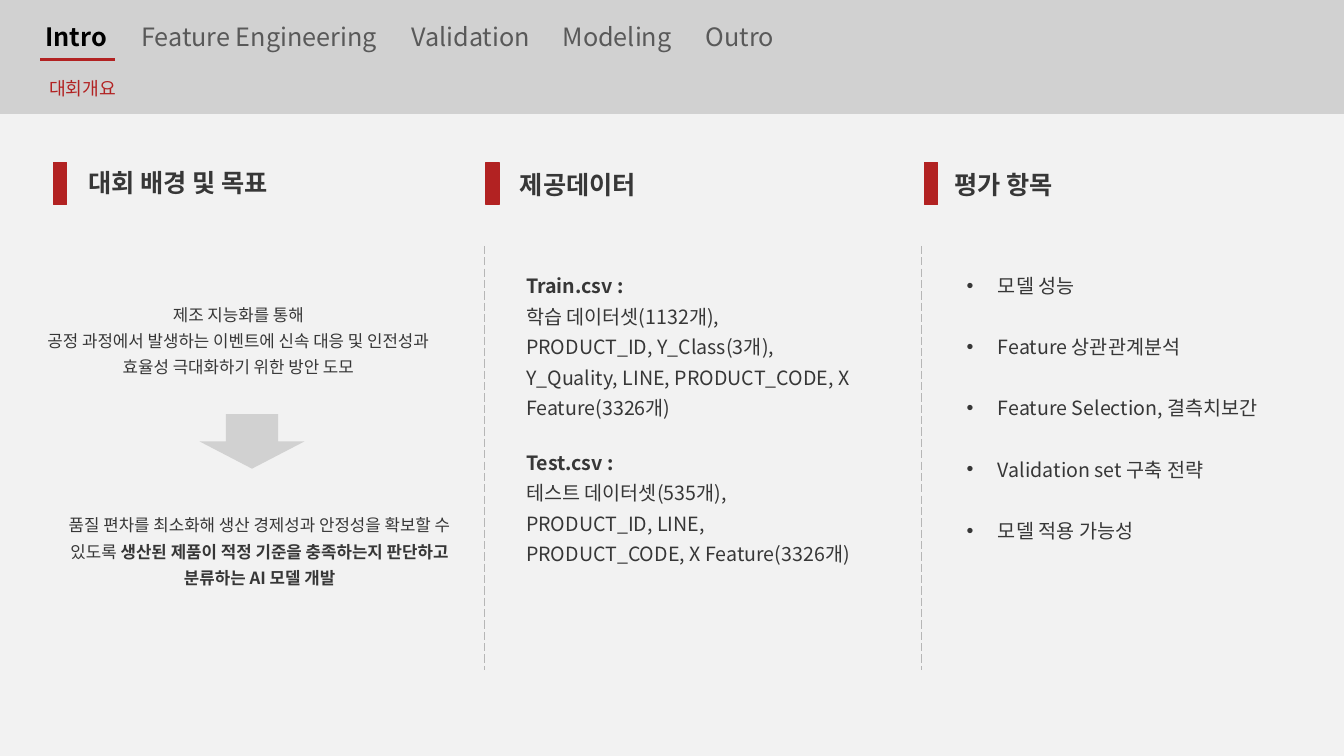
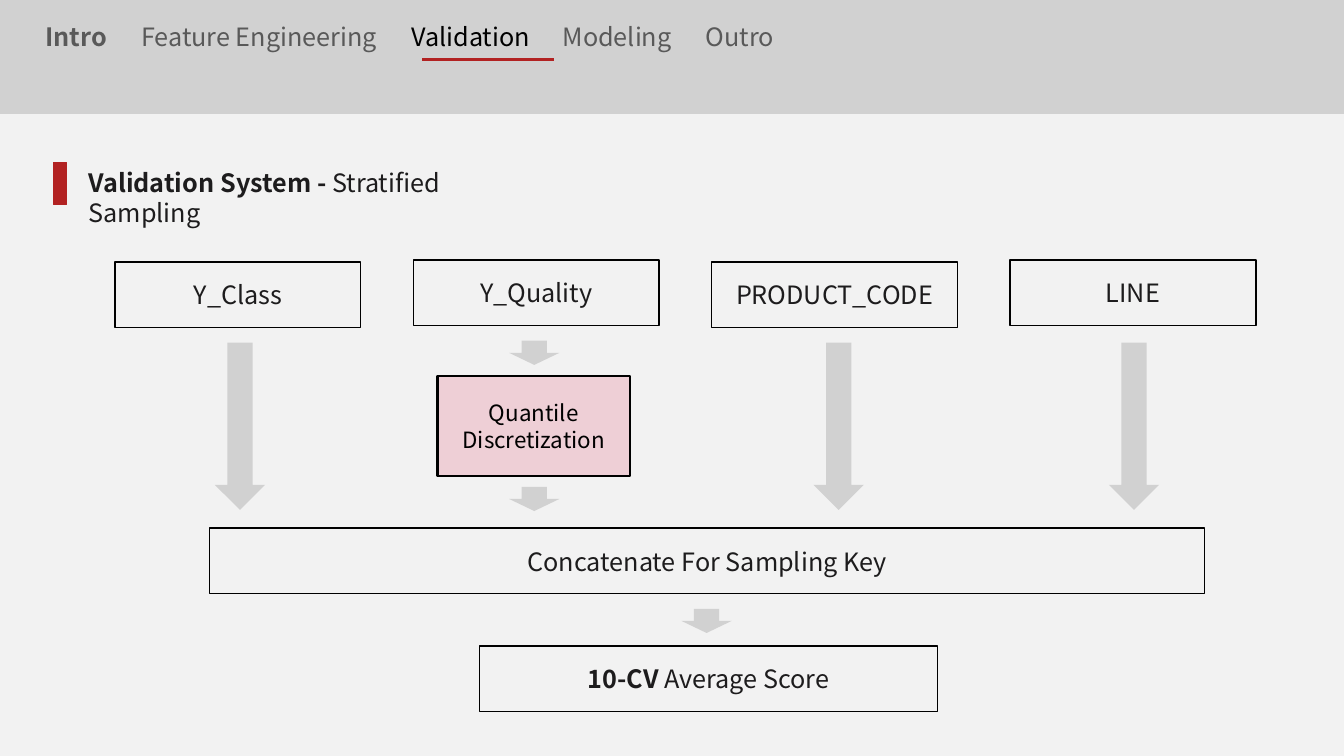
import pptx
import pptx.util
import pptx.dml.color
import pptx.enum.dml
import pptx.enum.shapes
import pptx.enum.text
import lxml.etree
from pptx.oxml.ns import qn

Pt = pptx.util.Pt
Inches = pptx.util.Inches
rgb = pptx.dml.color.RGBColor.from_string
RECT = pptx.enum.shapes.MSO_SHAPE.RECTANGLE
ARROW = pptx.enum.shapes.MSO_SHAPE.DOWN_ARROW
LEFT = pptx.enum.text.PP_ALIGN.LEFT
CENTER = pptx.enum.text.PP_ALIGN.CENTER

FONT = "Noto Sans CJK KR"
PAPER, BAND, RED = "F2F2F2", "D1D1D1", "B22222"
BLACK, MUTED, BODY, INK, PINK = "000000", "595959", "373737", "1D1C1D", "EECFD6"

prs = pptx.Presentation()
prs.slide_width, prs.slide_height = Inches(13.33), Inches(7.5)
COL, ROW = prs.slide_width / 100, prs.slide_height / 100


def put(s, kind, x, y, w, h, fill=None, line=None, weight=1):
    """Place a placeholder (by index), a text box (None) or a preset shape on the 100 x 100 grid."""
    box = [round(v) for v in (x * COL, y * ROW, w * COL, h * ROW)]
    if kind in (RECT, ARROW):
        sp = s.shapes.add_shape(kind, *box)
        sp.shadow.inherit = False
        if fill:
            sp.fill.solid()
            sp.fill.fore_color.rgb = rgb(fill)
        else:
            sp.fill.background()
        if line:
            sp.line.color.rgb = rgb(line)
            sp.line.width = Pt(weight)
        else:
            sp.line.fill.background()
    elif kind is None:
        sp = s.shapes.add_textbox(*box)
    else:
        sp = s.placeholders[kind - 1]
        sp.left, sp.top, sp.width, sp.height = box
    return sp


def write(sp, lines, size, color, align=LEFT, spacing=1.0, gap=0):
    """Fill a shape with paragraphs; ** switches bold on and off."""
    tf = sp.text_frame
    tf.word_wrap = True
    tf.auto_size = pptx.enum.text.MSO_AUTO_SIZE.NONE
    for n, text in enumerate(lines):
        p = tf.add_paragraph() if n else tf.paragraphs[0]
        p.alignment, p.line_spacing = align, spacing
        p.space_before = Pt(gap if n else 0)
        for i, part in enumerate(text.split("**")):
            if part:
                r = p.add_run()
                r.text = part
                r.font.name, r.font.size, r.font.bold = FONT, Pt(size), i % 2 == 1
                r.font.color.rgb = rgb(color)
                lxml.etree.SubElement(r.font._element, qn("a:ea"), typeface=FONT)
    return tf


TITLE, LIST = 1, 2
intro = prs.slides.add_slide(prs.slide_layouts[1])
valid = prs.slides.add_slide(prs.slide_layouts[5])

# Shared background and header band on the master
master = prs.slide_master
master.background.fill.solid()
master.background.fill.fore_color.rgb = rgb(PAPER)
band = put(intro, RECT, 0, 0, 100, 15.07, BAND)
master.shapes._spTree.insert(2, band._element)

# Navigation title, with the current section in black
sections = ["Feature Engineering", "Validation", "Modeling", "Outro"]
nav = "**Intro**" + "****".join("\t" + name for name in sections)
for s, active in ((intro, 0), (valid, 2)):
    tf = write(put(s, TITLE, 3.38, 1.6, 76.35, 6.93), [nav], 18, MUTED, spacing=0.9)
    tf.margin_left = 0
    tf.vertical_anchor = pptx.enum.text.MSO_ANCHOR.MIDDLE
    p = tf.paragraphs[0]
    p.runs[active].font.color.rgb = rgb(BLACK)
    tabs = lxml.etree.SubElement(p._p.get_or_add_pPr(), qn("a:tabLst"))
    for stop in (0.95, 3.63, 5.13, 6.55):
        lxml.etree.SubElement(tabs, qn("a:tab"), pos=str(Inches(stop)), algn="l")

# Nav underlines and column dividers
for s, x1, y1, x2, y2, color, weight in (
    (intro, 3, 7.87, 8.55, 7.87, RED, 2),
    (valid, 31.43, 7.87, 41.25, 7.87, RED, 2),
    (intro, 36.08, 32.53, 36.08, 88.67, "B6B6B6", 0.75),
    (intro, 68.55, 32.53, 68.55, 88.67, "B6B6B6", 0.75),
):
    ends = [round(v) for v in (x1 * COL, y1 * ROW, x2 * COL, y2 * ROW)]
    c = s.shapes.add_connector(pptx.enum.shapes.MSO_CONNECTOR.STRAIGHT, *ends)
    c.line.color.rgb = rgb(color)
    c.line.width = Pt(weight)
    if x1 == x2:
        c.line.dash_style = pptx.enum.dml.MSO_LINE.LONG_DASH
    lxml.etree.SubElement(c._element.spPr, qn("a:effectLst"))

# Section headings with red markers
for s, marker, x, y, w, text, color in (
    (intro, 3.98, 5.85, 21.47, 20, "**대회 배경 및 목표**", BODY),
    (intro, 36.15, 37.95, 21.73, 20, "**제공데이터**", BODY),
    (intro, 68.78, 70.28, 21.73, 20, "**평가 항목**", BODY),
    (valid, 3.98, 5.85, 21.47, 35.85, "**Validation System - **Stratified Sampling", INK),
):
    put(s, RECT, marker, 21.47, 0.98, 5.6, RED, RED)
    write(put(s, None, x, y, w, 5.33), [text], 18, color)

# Intro: subtitle, background and goal
write(put(intro, None, 2.93, 9.6, 20.55, 4.27), ["대회개요"], 13, RED)
write(put(intro, None, 2.1, 38.8, 31.28, 11.47),
      ["제조 지능화를 통해",
       "공정 과정에서 발생하는 이벤트에 신속 대응 및 인전성과 효율성 극대화하기 위한 방안 도모"],
      12, BODY, CENTER, 1.3)
put(intro, ARROW, 14.85, 54.8, 7.8, 7.2, BAND)
write(put(intro, None, 3.68, 66.67, 31.28, 11.47),
      ["품질 편차를 최소화해 생산 경제성과 안정성을 확보할 수 있도록 "
       "**생산된 제품이 적정 기준을 충족하는지 판단하고 분류하는 AI 모델 개발**"],
      12, BODY, CENTER, 1.3)

# Intro: data sets
tf = write(put(intro, None, 38.4, 34.67, 26.1, 52.27),
           ["**Train.csv :**", "학습 데이터셋(1132개),", "PRODUCT_ID, Y_Class(3개),",
            "Y_Quality, LINE, PRODUCT_CODE, X Feature(3326개)",
            "**Test.csv :**", "테스트 데이터셋(535개),",
            "PRODUCT_ID, LINE, PRODUCT_CODE, X Feature(3326개)"],
           14, BODY, spacing=1.3)
tf.paragraphs[4].space_before = Pt(17)

# Intro: evaluation list
tf = write(put(intro, LIST, 71.18, 34.67, 25.73, 37.6),
           ["모델 성능", "Feature 상관관계분석", "Feature Selection, 결측치보간",
            "Validation set 구축 전략", "모델 적용 가능성"],
           14, BODY, spacing=1.3, gap=21.8)
for p in tf.paragraphs:
    pPr = p._p.get_or_add_pPr()
    pPr.set("marL", str(Inches(0.31)))
    pPr.set("indent", str(-Inches(0.31)))

# Validation: boxes, the four inputs in equal columns
inputs = ["Y_Class", "Y_Quality", "PRODUCT_CODE", "LINE"]
boxes = [(8.55 + 22.2 * i, 34.4 if i % 2 else 34.67, 18.3, name)
         for i, name in enumerate(inputs)]
boxes += [(15.6, 69.87, 74.03, "Concatenate For Sampling Key"),
          (35.7, 85.47, 34.05, "**10-CV** Average Score")]
for x, y, w, text in boxes:
    write(put(valid, RECT, x, y, w, 8.67, line=BLACK), [text], 18, INK, CENTER)
write(put(valid, RECT, 32.55, 49.73, 14.33, 13.2, PINK, BLACK, 1.75),
      ["Quantile", "Discretization"], 16, BLACK, CENTER)

# Validation: flow arrows, long and short
for x in (15.98, 60.53, 82.5):
    put(valid, ARROW, x, 45.33, 3.75, 22.13, BAND)
for x, y in ((37.88, 45.07), (37.88, 64.4), (50.7, 80.53)):
    put(valid, ARROW, x, y, 3.75, 3.2, BAND)

prs.save("out.pptx")
